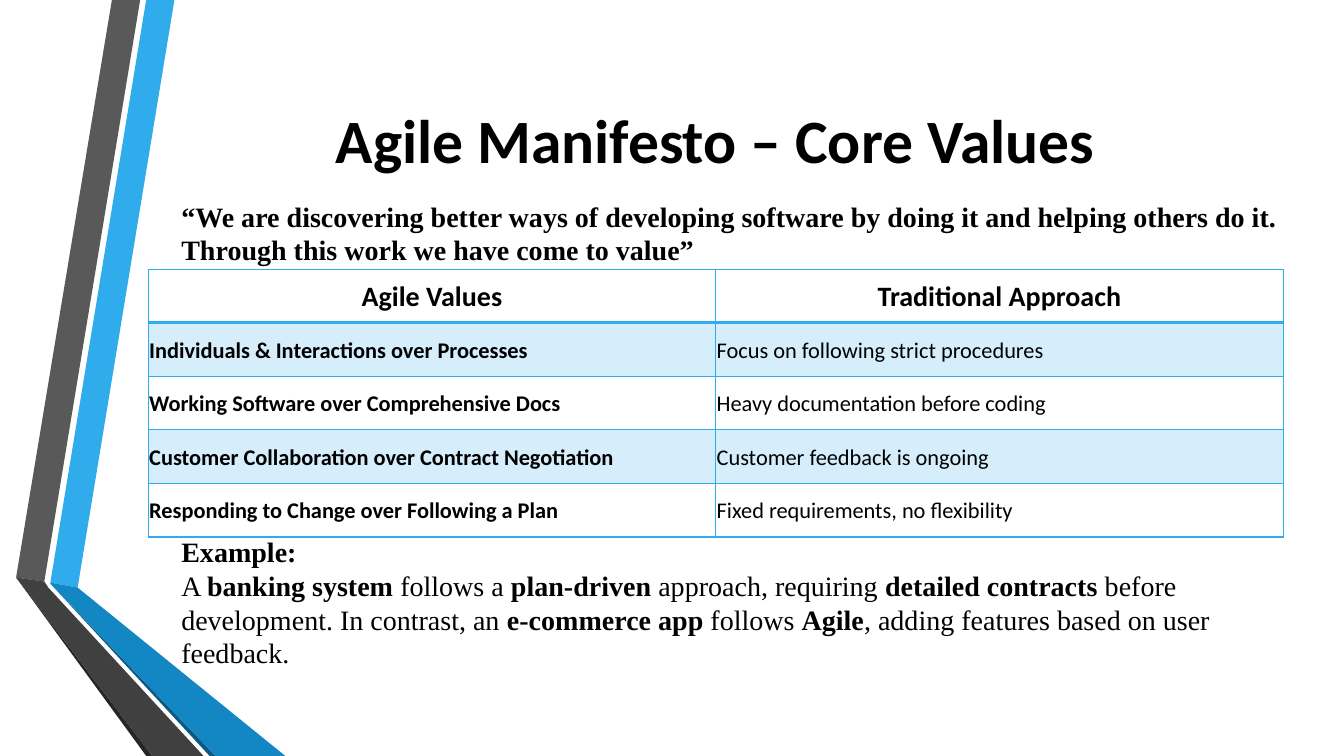
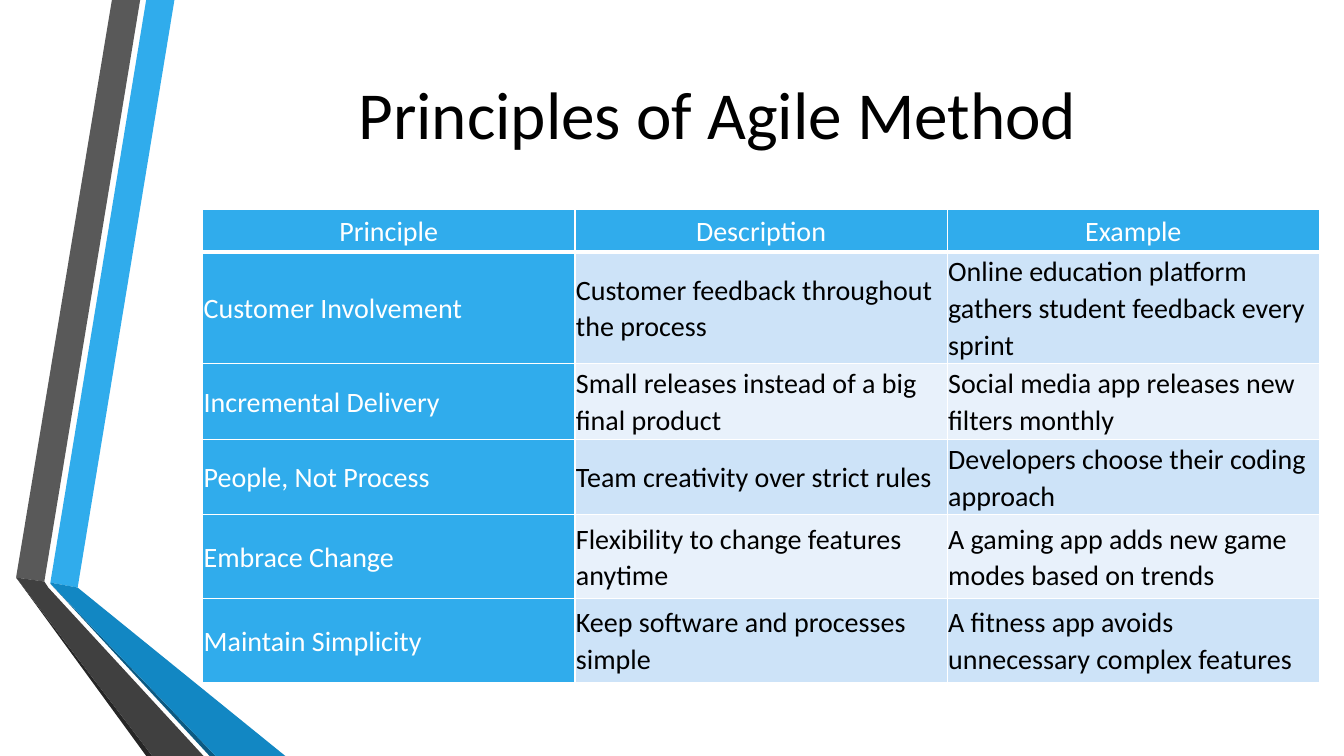
from lxml import etree
from pptx import Presentation
from pptx import util as u
from pptx.dml.color import RGBColor
from pptx.enum import text
from pptx.oxml.ns import qn

WIDE, HIGH = u.Inches(13.333), u.Inches(7.5)
BLUE = RGBColor(0x30, 0xAC, 0xEC)
OCEAN = RGBColor(0x12, 0x87, 0xC3)
NAVY = RGBColor(0x0C, 0x5A, 0x82)
GREY = RGBColor(0x59, 0x59, 0x59)
COAL = RGBColor(0x40, 0x40, 0x40)
SOOT = RGBColor(0x26, 0x26, 0x26)
BLACK = RGBColor(0, 0, 0)
WHITE = RGBColor(255, 255, 255)
TINT = RGBColor(0xD6, 0xEE, 0xFB)
PALE = RGBColor(0xCD, 0xE3, 0xF8)
FAINT = RGBColor(0xE8, 0xF1, 0xFB)
SANS, SERIF = "Calibri", "Times New Roman"
LEFT, MID = text.PP_ALIGN.LEFT, text.PP_ALIGN.CENTER

# Corner points in percent of the slide's width and height.
BANDS = [
    (BLUE, [(3.75, 77.07), (5.78, 77.73), (12.98, 0), (10.88, 0)]),
    (GREY, [(10.43, 0), (8.33, 0), (1.2, 76.4), (3.3, 76.93)]),
    (SOOT, [(1.2, 76.4), (10.88, 100), (11.33, 100)]),
    (NAVY, [(3.75, 77.2), (15.6, 100), (16.05, 100)]),
    (OCEAN, [(3.75, 77.07), (3.75, 77.2), (16.05, 100), (21.23, 100),
             (5.78, 77.73)]),
    (COAL, [(15.15, 100), (3.6, 77.73), (3.3, 76.93), (1.2, 76.4),
            (11.33, 100)]),
]

VALUES = [
    ("Agile Values", "Traditional Approach"),
    ("Individuals & Interactions over Processes",
     "Focus on following strict procedures"),
    ("Working Software over Comprehensive Docs",
     "Heavy documentation before coding"),
    ("Customer Collaboration over Contract Negotiation",
     "Customer feedback is ongoing"),
    ("Responding to Change over Following a Plan",
     "Fixed requirements, no flexibility"),
]
RULES = [
    ("Principle", "Description", "Example"),
    ("Customer Involvement", "Customer feedback throughout the process",
     "Online education platform gathers student feedback every sprint"),
    ("Incremental Delivery", "Small releases instead of a big final product",
     "Social media app releases new filters monthly"),
    ("People, Not Process", "Team creativity over strict rules",
     "Developers choose their coding approach"),
    ("Embrace Change", "Flexibility to change features anytime",
     "A gaming app adds new game modes based on trends"),
    ("Maintain Simplicity", "Keep software and processes simple",
     "A fitness app avoids unnecessary complex features"),
]
QUOTE = ("*“We are discovering better ways of developing software by doing it "
         "and helping others do it. Through this work we have come to value”*")
CASE = ("A *banking system* follows a *plan-driven* approach, requiring "
        "*detailed contracts* before development. In contrast, an "
        "*e-commerce app* follows *Agile*, adding features based on user "
        "feedback.")


def across(share):
    return round(WIDE * share / 100)


def down(share):
    return round(HIGH * share / 100)


def place(x, y, w, h):
    return across(x), down(y), across(w), down(h)


def write(para, words, size, face=SANS, color=BLACK, align=LEFT):
    """Fill a paragraph; words between asterisks are bold."""
    para.alignment = align
    for i, part in enumerate(words.split("*")):
        if part:
            run = para.add_run()
            run.text = part
            look = dict(name=face, size=u.Pt(size), bold=i % 2 == 1)
            for key, value in look.items():
                setattr(run.font, key, value)
            run.font.color.rgb = color


def add_text(slide, spot, lines, anchor=text.MSO_ANCHOR.TOP, **look):
    frame = slide.shapes.add_textbox(*place(*spot)).text_frame
    frame.word_wrap = True
    frame.vertical_anchor = anchor
    for i, words in enumerate(lines):
        para = frame.add_paragraph() if i else frame.paragraphs[0]
        write(para, words, **look)


def add_title(slide, x, y, words, size):
    add_text(slide, (x, y, 82.2, 25.6), [words], text.MSO_ANCHOR.MIDDLE,
             size=size, align=MID)


def share_bands(slide, layout):
    """Draw the side bands and move them to the layout."""
    for spare in list(layout.placeholders):
        layout.shapes.element.remove(spare.element)
    for color, points in BANDS:
        first, *rest = [(across(x), down(y)) for x, y in points]
        pen = slide.shapes.build_freeform(*first)
        pen.add_line_segments(rest, close=True)
        band = pen.convert_to_shape()
        band.shadow.inherit = False
        band.fill.solid()
        band.fill.fore_color.rgb = color
        band.line.fill.background()
        layout.shapes.element.append(band.element)


def edge(cell, color, top, base):
    """Draw the four borders of a cell, with widths in points."""
    props = cell._tc.get_or_add_tcPr()
    for side, width in zip("LRTB", (1, 1, top, base)):
        line = etree.SubElement(props, qn(f"a:ln{side}"), w=str(u.Pt(width)))
        fill = etree.SubElement(line, qn("a:solidFill"))
        etree.SubElement(fill, qn("a:srgbClr"), val=str(color))


def add_grid(slide, x, y, wide, highs, data, style, rule, heavy):
    """Add a table; style(row, col) gives the fill and the text look."""
    count = len(data[0])
    table = slide.shapes.add_table(
        len(data), count, *place(x, y, wide, sum(highs))).table
    table.first_row = table.horz_banding = False
    for col in table.columns:
        col.width = across(wide / count)
    for r, texts in enumerate(data):
        table.rows[r].height = down(highs[r])
        for c, words in enumerate(texts):
            cell = table.cell(r, c)
            fill, bold, look = style(r, c)
            for side in ("left", "right", "top", "bottom"):
                setattr(cell, f"margin_{side}", u.Inches(0.01))
            cell.vertical_anchor = text.MSO_ANCHOR.MIDDLE
            edge(cell, rule, heavy if r == 1 else 1, heavy if r == 0 else 1)
            if fill is None:
                cell.fill.background()
            else:
                cell.fill.solid()
                cell.fill.fore_color.rgb = fill
            para = cell.text_frame.paragraphs[0]
            para.line_spacing = 1.07
            write(para, f"*{words}*" if bold else words,
                  align=LEFT if r else MID, **look)


def light(r, c):
    fill = TINT if r % 2 else None
    return fill, r == 0 or c == 0, dict(size=16 if r else 20)


def solid(r, c):
    if r == 0 or c == 0:
        return BLUE, False, dict(size=20, color=WHITE)
    return PALE if r % 2 else FAINT, False, dict(size=20)


def main():
    deck = Presentation()
    deck.slide_width, deck.slide_height = WIDE, HIGH
    blank = deck.slide_layouts[6]

    slide = deck.slides.add_slide(blank)
    share_bands(slide, blank)
    add_title(slide, 12.15, 5.5, "*Agile Manifesto – Core Values*", 44)
    add_grid(slide, 11.03, 35.6, 84.45, [7.09] * 5, VALUES, light, BLUE, 2)
    add_text(slide, (12.75, 25.7, 85.05, 10), [QUOTE], size=20, face=SERIF)
    add_text(slide, (12.75, 70.1, 85.05, 19.3), ["*Example:*", CASE],
             size=20, face=SERIF)

    slide = deck.slides.add_slide(blank)
    add_title(slide, 12.3, 2.13, "Principles of Agile Method", 48)
    add_grid(slide, 15.08, 27.7, 83.1, [5.6, 14.8, 10, 10, 11.07, 11.07],
             RULES, solid, WHITE, 3)
    deck.save("out.pptx")


if __name__ == "__main__":
    main()
